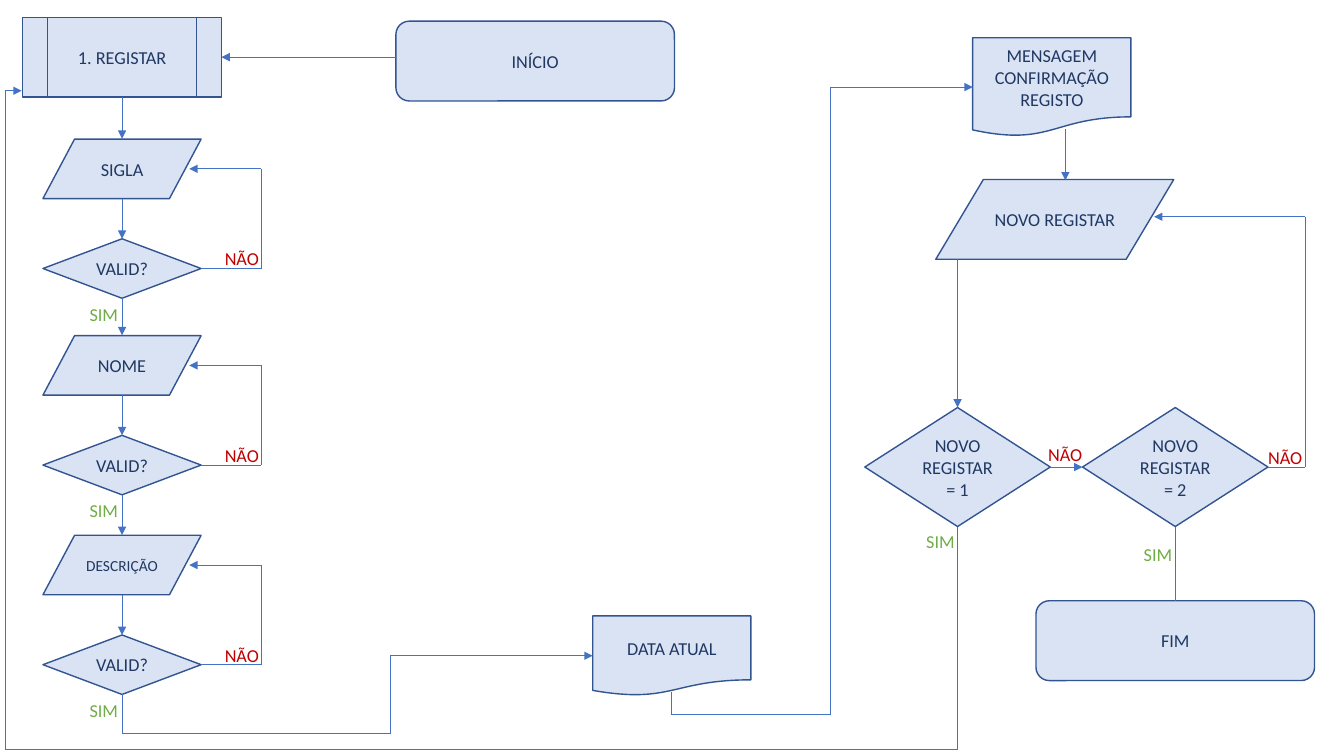
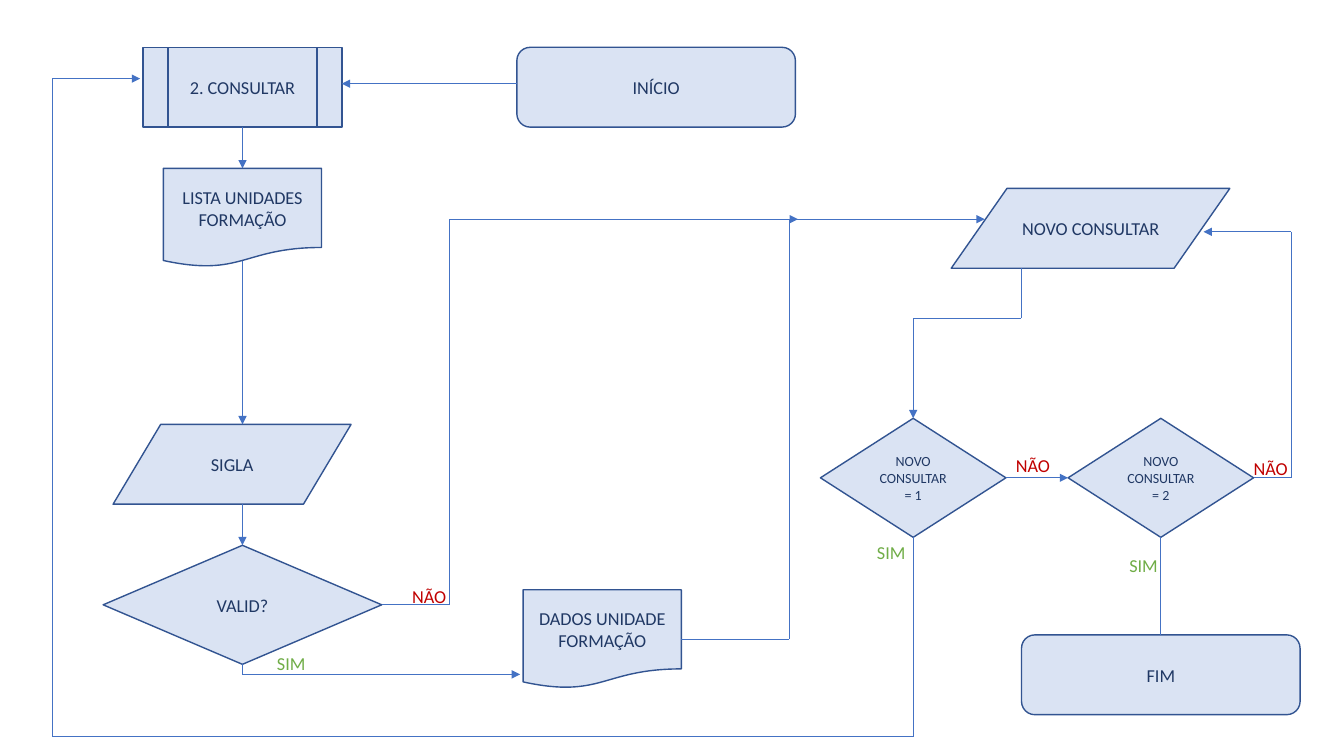
from pptx import Presentation
from pptx.dml.color import RGBColor as Rgb
from pptx.enum.shapes import MSO_CONNECTOR as Link, MSO_SHAPE as Kind
from pptx.enum.text import MSO_ANCHOR as Anchor, MSO_AUTO_SIZE as Auto, PP_ALIGN as Align
from pptx.oxml.ns import qn
from pptx.util import Pt
from lxml.etree import SubElement as Sub

# Colours
PALE = Rgb(0xDA, 0xE3, 0xF3)
EDGE = Rgb(0x32, 0x54, 0x91)
WIRE = Rgb(0x44, 0x72, 0xC4)
NAVY = Rgb(0x20, 0x38, 0x64)
RED = Rgb(0xC0, 0x00, 0x00)
GREEN = Rgb(0x70, 0xAD, 0x47)

# Each kind of node: preset shape, width, height
PROC = (Kind.FLOWCHART_PREDEFINED_PROCESS, 142, 57)
TERM = (Kind.FLOWCHART_ALTERNATE_PROCESS, 199, 57)
ENTRY = (Kind.FLOWCHART_DATA, 113, 42.5)
WIDE = (Kind.FLOWCHART_DATA, 170, 57)
VAST = (Kind.FLOWCHART_DATA, 199, 57)
TEST = (Kind.FLOWCHART_DECISION, 113, 42.5)
PICK = (Kind.FLOWCHART_DECISION, 132.5, 85)
CHECK = (Kind.FLOWCHART_DECISION, 199, 85)
NOTE = (Kind.FLOWCHART_DOCUMENT, 113, 57)
PAGE = (Kind.FLOWCHART_DOCUMENT, 113, 70.5)

# Connection sites
TOP, LEFT, BOTTOM, RIGHT = range(4)

# Text frame formats
NODE = {"word_wrap": True, "vertical_anchor": Anchor.MIDDLE,
        "margin_left": Pt(4), "margin_right": Pt(4)}
TAG = {"word_wrap": True, "auto_size": Auto.SHAPE_TO_FIT_TEXT}


def apply(item, style):
    for name, value in style.items():
        setattr(item, name, value)


class Flow:
    """Holds the deck's style and the current slide."""

    def __init__(self):
        self.deck = Presentation()
        apply(self.deck, {"slide_width": Pt(960), "slide_height": Pt(540)})

    def page(self):
        self.slide = self.deck.slides.add_slide(self.deck.slide_layouts[6])
        self.shapes = self.slide.shapes

    def label(self, frame, text, style, color, size, align):
        apply(frame, style)
        frame.text = text
        for par in frame.paragraphs:
            par.alignment = align
            apply(par.font, {"name": "Calibri", "size": Pt(size)})
            par.font.color.rgb = color

    def node(self, kind, x, y, text, size=13):
        """A flowchart shape centred on x, y."""
        form, w, h = kind
        box = self.shapes.add_shape(form, Pt(x - w / 2), Pt(y - h / 2), Pt(w), Pt(h))
        box.shadow.inherit = False
        box.fill.solid()
        box.fill.fore_color.rgb = PALE
        box.line.color.rgb = EDGE
        box.line.width = Pt(1)
        self.label(box.text_frame, text, NODE, NAVY, size, Align.CENTER)
        return box

    def tag(self, text, x, y):
        box = self.shapes.add_textbox(Pt(x), Pt(y), Pt(52.5), Pt(23))
        color = GREEN if text == "SIM" else RED
        self.label(box.text_frame, text, TAG, color, 13, Align.LEFT)

    def spot(self, end):
        """Place of an end: a point, or a node with one of its sites."""
        if not hasattr(end[0], "width"):
            return Pt(end[0]), Pt(end[1])
        box, site = end
        x = box.left + (0, box.width)[site == RIGHT]
        y = box.top + (0, box.height)[site == BOTTOM]
        if site in (TOP, BOTTOM):
            return x + box.width // 2, y
        return x, y + box.height // 2

    def wire(self, *ends, arrow=True):
        """Straight connectors from end to end, the last with an arrowhead."""
        last = len(ends) - 2
        for i, (start, stop) in enumerate(zip(ends, ends[1:])):
            line = self.shapes.add_connector(
                Link.STRAIGHT, *self.spot(start), *self.spot(stop))
            if hasattr(start[0], "width"):
                line.begin_connect(*start)
            if hasattr(stop[0], "width"):
                line.end_connect(*stop)
            line.line.color.rgb = WIRE
            line.line.width = Pt(0.5)
            props = line._element.spPr
            if arrow and i == last:
                Sub(props.find(qn("a:ln")), qn("a:tailEnd"), type="triangle")
            Sub(props, qn("a:effectLst"))

    def choice(self, word, size, xs, y, back, home, gap, tags):
        """The two closing questions, their loops and the end."""
        (one, two), (sim, nao) = xs, tags
        first, second = (self.node(PICK, x, y, f"{word}\n= {n}", size)
                         for n, x in enumerate(xs, 1))
        end = self.node(TERM, two, y + gap, "FIM")
        self.wire((first, RIGHT), (second, LEFT))
        self.wire((second, BOTTOM), (end, TOP), arrow=False)
        # Second "no" asks again
        turn, tip, high = back
        self.wire((second, RIGHT), (turn, y), (turn, high), (tip, high))
        # First "yes" goes back to the start
        side, low, door, top = home
        self.wire((first, BOTTOM), (one, low), (side, low), (side, top), (door, top))
        self.tag("SIM", one + sim, y + 41.6)
        self.tag("NÃO", one + nao, y - 20.3)
        self.tag("SIM", two - 29.6, y + 51)
        self.tag("NÃO", two + 59.2, y - 18.2)
        return first


def enrol(flow):
    flow.page()
    mid = 87.2
    proc = flow.node(PROC, mid, 40.8, "1. REGISTAR")
    flow.node(TERM, 382.3, 43.6, "INÍCIO")
    flow.wire((283, 40.8), (proc, RIGHT))

    # Three checked entries
    last = (proc, BOTTOM)
    for text, y, size in (("SIGLA", 120.6, 13), ("NOME", 261, 13), ("DESCRIÇÃO", 403.6, 11)):
        flow.wire(last, (mid, y - 21.5))
        flow.node(ENTRY, mid, y, text, size)
        low = y + 71.2
        test = flow.node(TEST, mid, low, "VALID?")
        flow.wire((mid, y + 21.2), (test, TOP))
        flow.wire((test, RIGHT), (186.4, low), (186.4, y), (135.2, y))
        flow.tag("NÃO", 153.5, low - 18.4)
        flow.tag("SIM", 56.9, low + 21.2)
        last = (test, BOTTOM)

    # Date and message
    date = flow.node(NOTE, 479.9, 468.4, "DATA ATUAL")
    flow.wire(last, (mid, 524), (278.6, 524), (278.6, 468.4), (date, LEFT))
    note = flow.node(PAGE, 751.3, 62.2, "MENSAGEM CONFIRMAÇÃO REGISTO")
    flow.wire((479.9, 494), (479.9, 510.5), (593.3, 510.5), (593.3, 62.2), (note, LEFT))

    # New entry
    flow.node(WIDE, 753.4, 156.7, "NOVO REGISTAR")
    flow.wire((761, 92.2), (761, 128.9))
    pick = flow.choice("NOVO REGISTAR", 13, (684, 839.5), 333.6,
                       back=(932.4, 824.4, 154.8), home=(3.6, 535.2, 15.5, 64.8),
                       gap=124, tags=(-29.5, 57.6))
    flow.wire((684, 185.2), (pick, TOP))


def query(flow):
    flow.page()
    mid = 173.2
    proc = flow.node(PROC, mid, 62.3, "2. CONSULTAR")
    flow.node(TERM, 468.7, 62.3, "INÍCIO")
    flow.wire((369.2, 59.8), (244.2, 59.8))

    # List, entry and check
    units = flow.node(PAGE, mid, 155.5, "LISTA UNIDADES FORMAÇÃO")
    flow.wire((proc, BOTTOM), (units, TOP))
    flow.node(WIDE, 165.8, 331.6, "SIGLA")
    flow.wire((mid, 186.5), (mid, 303.1))
    test = flow.node(CHECK, mid, 432, "VALID?")
    flow.wire((mid, 360), (test, TOP))
    data = flow.node(PAGE, 430.2, 456.5, "DADOS UNIDADE FORMAÇÃO")
    flow.wire((test, BOTTOM), (mid, 481.7), (371.5, 481.7))
    flow.tag("SIM", 190.8, 462.2)
    flow.tag("NÃO", 287.3, 414.7)

    # Both answers lead to a new query
    high = 156.6
    flow.wire((test, RIGHT), (321.1, 432), (321.1, high), (570, high))
    flow.wire((data, RIGHT), (563.8, 456.5), (563.8, high), arrow=False)
    flow.node(VAST, 779, 163.1, "NOVO CONSULTAR")
    flow.wire((567, high), (703.4, high))
    pick = flow.choice("NOVO CONSULTAR", 10, (652.3, 829.2), 341.3,
                       back=(922.3, 859.7, 165.6), home=(37.4, 526.3, 100.1, 56.2),
                       gap=140.7, tags=(-33, 66.3))
    flow.wire((729.4, 191.5), (729.4, 227.5), (652.3, 227.5), (pick, TOP))


def main():
    flow = Flow()
    enrol(flow)
    query(flow)
    flow.deck.save("out.pptx")


if __name__ == "__main__":
    main()
